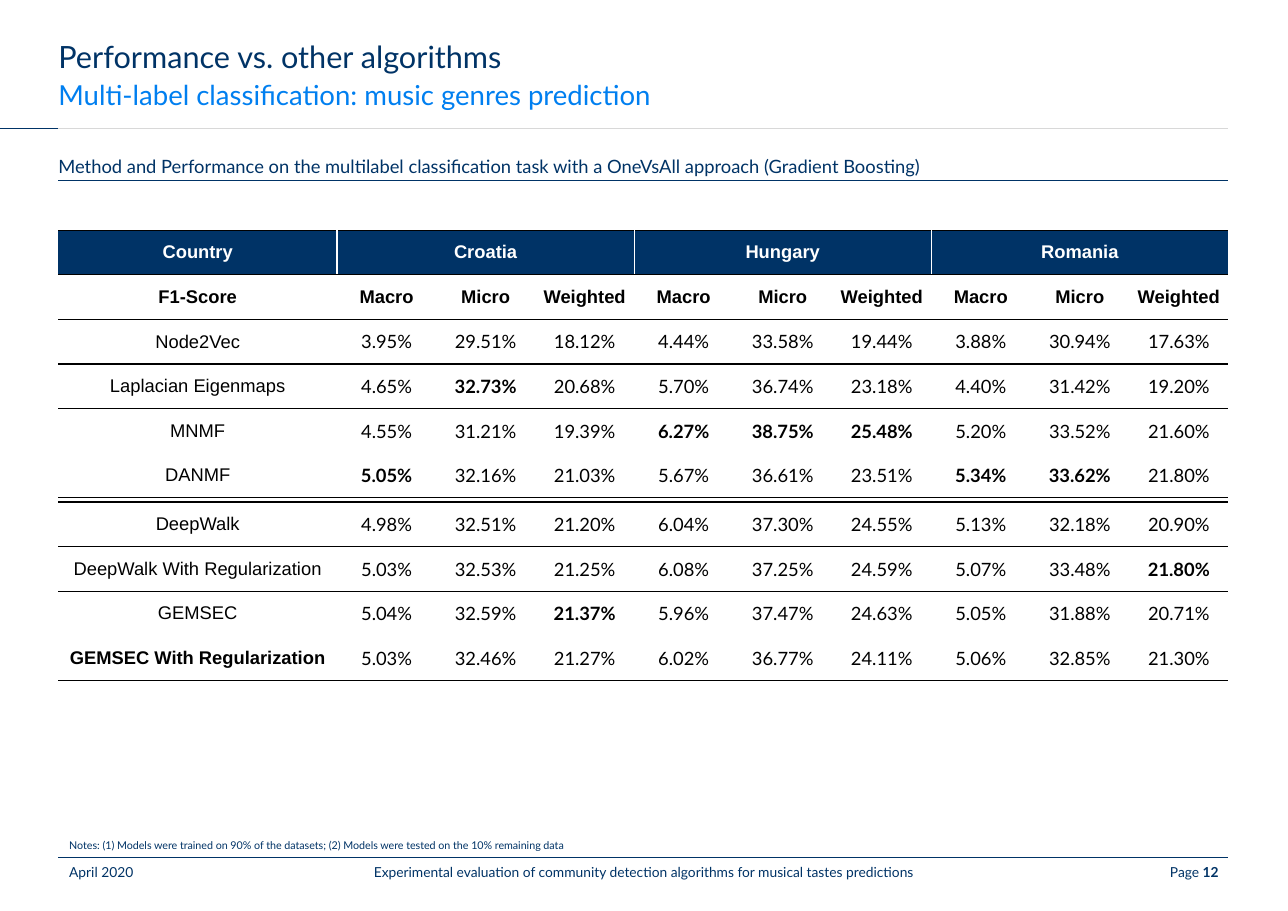
from pptx import Presentation
from pptx.dml.color import RGBColor
from pptx.enum.shapes import MSO_CONNECTOR
from pptx.enum.text import MSO_ANCHOR, MSO_AUTO_SIZE, PP_ALIGN
from pptx.oxml.ns import qn
from pptx.util import Inches, Pt
from lxml.etree import SubElement, Element

COLORS = {"navy": "003366", "blue": "007FF0", "gray": "D8D8D8",
          "black": "000000", "white": "FFFFFF"}
LEFT, WIDTH = 0.53, 10.62
RIGHT = LEFT + WIDTH
NO_STYLE = "{2D5ABB26-0587-4C30-8999-92F81FD0307C}"

COUNTRIES = ["Croatia", "Hungary", "Romania"]
SCORES = ["Macro", "Micro", "Weighted"]
# A leading * marks a bold entry; None is the thin separator row
RESULTS = [
    ("Node2Vec", "3.95% 29.51% 18.12% 4.44% 33.58% 19.44% 3.88% 30.94% 17.63%"),
    ("Laplacian Eigenmaps", "4.65% *32.73% 20.68% 5.70% 36.74% 23.18% 4.40% 31.42% 19.20%"),
    ("MNMF", "4.55% 31.21% 19.39% *6.27% *38.75% *25.48% 5.20% 33.52% 21.60%"),
    ("DANMF", "*5.05% 32.16% 21.03% 5.67% 36.61% 23.51% *5.34% *33.62% 21.80%"),
    None,
    ("DeepWalk", "4.98% 32.51% 21.20% 6.04% 37.30% 24.55% 5.13% 32.18% 20.90%"),
    ("DeepWalk With Regularization", "5.03% 32.53% 21.25% 6.08% 37.25% 24.59% 5.07% 33.48% *21.80%"),
    ("GEMSEC", "5.04% 32.59% *21.37% 5.96% 37.47% 24.63% 5.05% 31.88% 20.71%"),
    ("*GEMSEC With Regularization", "5.03% 32.46% 21.27% 6.02% 36.77% 24.11% 5.06% 32.85% 21.30%"),
]
RULED_ROWS = {0, 1, 2, 5, 6, 7, 10}  # rows with a rule below


def rgb(name):
    return RGBColor.from_string(COLORS[name])


def format_run(span, size, color="navy", bold=False, font="Lato"):
    span.font.name = font
    span.font.size = Pt(size)
    span.font.bold = bold
    span.font.color.rgb = rgb(color)


def fill_box(box, text, size, color="navy", align=PP_ALIGN.LEFT,
             anchor=MSO_ANCHOR.MIDDLE, inset=(0, 0.05)):
    frame = box.text_frame
    frame.word_wrap = True
    frame.auto_size = MSO_AUTO_SIZE.NONE
    frame.vertical_anchor = anchor
    frame.margin_left = frame.margin_right = Inches(inset[0])
    frame.margin_top = frame.margin_bottom = Inches(inset[1])
    frame.text = text
    para = frame.paragraphs[0]
    para.alignment = align
    format_run(para.runs[0], size, color)
    return para


def add_text(page, left, top, width, height, text, size, **style):
    box = page.shapes.add_textbox(Inches(left), Inches(top), Inches(width), Inches(height))
    return fill_box(box, text, size, **style)


def add_rule(page, start, end, top, color, weight=0.75):
    rule = page.shapes.add_connector(MSO_CONNECTOR.STRAIGHT, Inches(start), Inches(top),
                                     Inches(end), Inches(top))
    rule.line.color.rgb = rgb(color)
    rule.line.width = Pt(weight)
    SubElement(rule._element.spPr, qn("a:effectLst"))


def set_borders(cell, borders):
    """Draw 1 pt borders; they must come before the fill, in the order L, R, T, B."""
    sides = [side for side in "LRTB" if side in borders]
    for position, side in enumerate(sides):
        line = Element(qn("a:ln" + side), w=str(Pt(1)))
        fill = SubElement(line, qn("a:solidFill"))
        SubElement(fill, qn("a:srgbClr"), val=COLORS[borders[side]])
        cell._tc.get_or_add_tcPr().insert(position, line)


def fill_cell(cell, text, color="black", bold=False, font="Arial", margin=0):
    cell.vertical_anchor = MSO_ANCHOR.MIDDLE
    cell.margin_left = cell.margin_right = Inches(margin)
    cell.margin_top = cell.margin_bottom = Inches(margin)
    para = cell.text_frame.paragraphs[0]
    para.alignment = PP_ALIGN.CENTER
    if text:
        para.text = text.lstrip("*")
        format_run(para.runs[0], 12, color, bold or text.startswith("*"), font)
    else:
        para._p.get_or_add_endParaRPr().set("sz", "100")


def table_rows():
    header = ["Country"]
    for country in COUNTRIES:
        header += [country, "", ""]
    rows = [header, ["F1-Score"] + SCORES * len(COUNTRIES)]
    for result in RESULTS:
        rows.append([result[0]] + result[1].split() if result else [""] * len(header))
    return rows


def add_results_table(page):
    rows = table_rows()
    height, name_width, gap_height = 4.09, 2.53, 0.04
    table = page.shapes.add_table(len(rows), len(rows[0]), Inches(LEFT), Inches(2.09),
                                  Inches(WIDTH), Inches(height)).table
    table.first_row = table.horz_banding = False
    table._tbl.tblPr.find(qn("a:tableStyleId")).text = NO_STYLE

    # Column and row sizes
    for index, column in enumerate(table.columns):
        column.width = Inches((WIDTH - name_width) / 9 if index else name_width)
    for row, texts in zip(table.rows, rows):
        row.height = Inches((height - gap_height) / 10 if any(texts) else gap_height)

    # Country headings span their three scores
    for first in (1, 4, 7):
        table.cell(0, first).merge(table.cell(0, first + 2))

    # Cell contents, fills and rules
    for i, texts in enumerate(rows):
        for j, text in enumerate(texts):
            cell = table.cell(i, j)
            header = i == 0
            fill_cell(cell, text, "white" if header else "black", bold=i < 2,
                      font="Lato" if i > 1 and j else "Arial",
                      margin=0.05 if i == 1 and j else 0)
            cell.fill.solid()
            cell.fill.fore_color.rgb = rgb("navy" if header else "white")
            borders = {}
            if header or i - 1 in RULED_ROWS:
                borders["T"] = "black"
            if i in RULED_ROWS:
                borders["B"] = "black"
            if header and j in (1, 4, 7):
                borders["L"] = "white"
            if header and j in (0, 1, 3, 4, 6):
                borders["R"] = "white"
            set_borders(cell, borders)


def add_footer(page):
    add_rule(page, LEFT, RIGHT, 7.78, "navy", 0.25)
    inset = (0.1, 0.04)
    add_text(page, LEFT, 7.46, WIDTH, 0.31,
             "Notes: (1) Models were trained on 90% of the datasets; "
             "(2) Models were tested on the 10% remaining data",
             7, anchor=MSO_ANCHOR.BOTTOM, inset=inset)
    add_text(page, LEFT, 7.79, 1.7, 0.26, "April 2020", 9, inset=inset)
    add_text(page, 3.09, 7.79, 5.5, 0.26,
             "Experimental evaluation of community detection algorithms "
             "for musical tastes predictions", 9, align=PP_ALIGN.CENTER, inset=inset)
    para = add_text(page, 9.46, 7.79, 1.7, 0.26, "Page ", 9,
                    align=PP_ALIGN.RIGHT, inset=inset)
    number = para.add_run()
    number.text = "12"
    format_run(number, 9, bold=True)


def main():
    deck = Presentation()
    deck.slide_width, deck.slide_height = Inches(11.69), Inches(8.27)
    page = deck.slides.add_slide(deck.slide_layouts[5])

    # Title and subtitle
    title = page.shapes.title
    title.left, title.top = Inches(LEFT), Inches(0.37)
    title.width, title.height = Inches(WIDTH), Inches(0.28)
    fill_box(title, "Performance vs. other algorithms", 20)
    add_text(page, LEFT, 0.72, WIDTH, 0.28,
             "Multi-label classification: music genres prediction", 18, color="blue")
    add_rule(page, LEFT, RIGHT, 1.17, "gray")
    add_rule(page, 0, LEFT, 1.17, "navy")

    # Section heading
    add_text(page, LEFT, 1.38, WIDTH, 0.26,
             "Method and Performance on the multilabel classification task "
             "with a OneVsAll approach (Gradient Boosting)", 12)
    add_rule(page, LEFT, RIGHT, 1.64, "navy")

    add_results_table(page)
    add_footer(page)
    deck.save("out.pptx")


if __name__ == "__main__":
    main()
